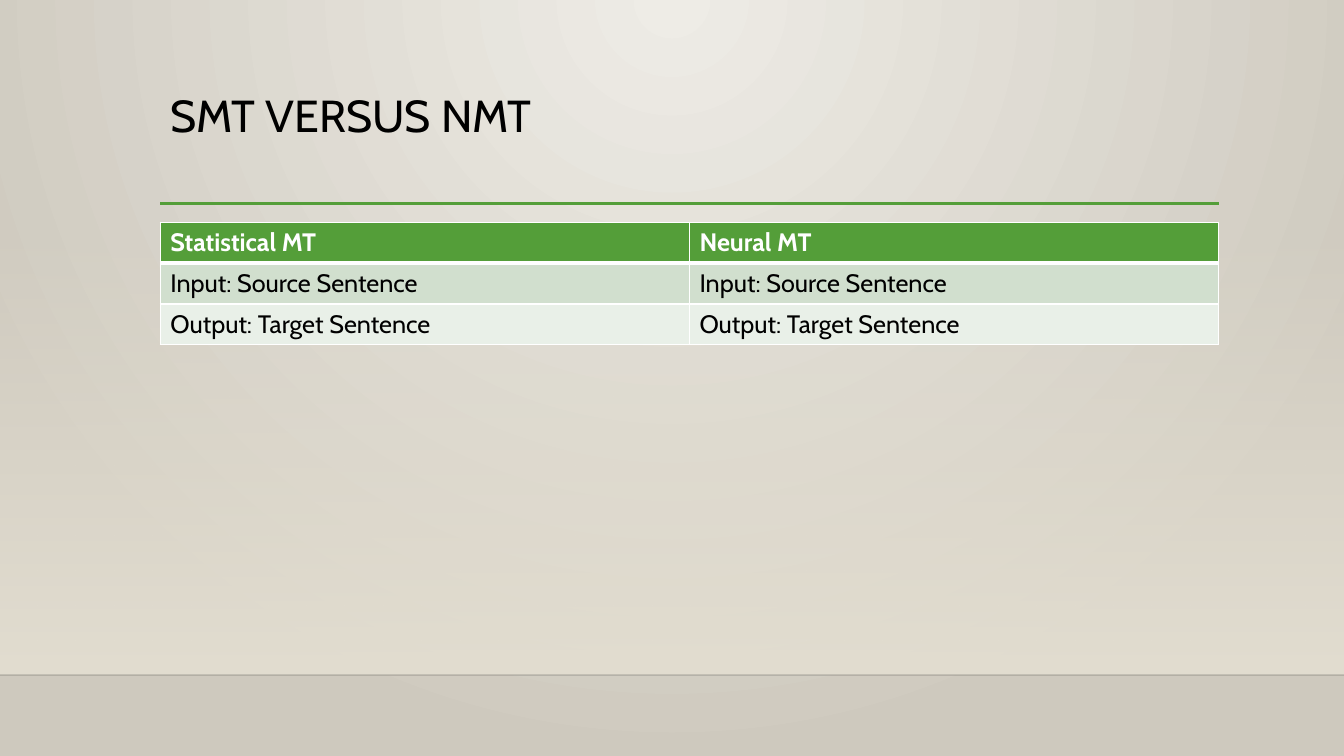
from dataclasses import dataclass

from lxml import etree
from pptx import Presentation
from pptx.dml.color import RGBColor as Rgb
from pptx.enum.shapes import MSO_CONNECTOR as Conn, MSO_SHAPE as Shape
from pptx.enum.text import MSO_ANCHOR as Anchor
from pptx.oxml.ns import qn
from pptx.util import Cm, Pt


@dataclass(frozen=True)
class Theme:
    """Colours, type sizes and font of the slide."""
    font: str = "Cabin"
    head: int = 32
    body: int = 18
    ink: str = "000000"
    white: str = "FFFFFF"
    green: str = "549E39"
    edge: str = "000001"
    light: str = "EEECE6"
    dark: str = "CEC9BE"
    glow: str = "E3DED1"
    bands: tuple = ("D1DFCE", "E9F0E8")


THEME = Theme()
WIDE, HIGH = 33.87, 19.05
ROWS = [
    ("Statistical MT", "Neural MT"),
    ("Input: Source Sentence", "Input: Source Sentence"),
    ("Output: Target Sentence", "Output: Target Sentence"),
]


def sub(node, tag, **attrs):
    """Append a drawing element and return it."""
    return etree.SubElement(node, qn("a:" + tag), attrs)


def blend(fill, root, stops):
    """Give a fill a two-stop gradient and return its emptied element."""
    fill.gradient()
    grad = next(root.iter(qn("a:gradFill")))
    for child in list(grad):
        grad.remove(child)
    group = sub(grad, "gsLst")
    for pos, (color, alpha) in zip((0, 100000), stops):
        tint = sub(sub(group, "gs", pos=str(pos)), "srgbClr", val=color)
        if alpha < 100:
            sub(tint, "alpha", val=str(alpha * 1000))
    return grad


def write(frame, text, size, color, bold=False):
    """Put one run of text in a frame and return its paragraph."""
    para = frame.paragraphs[0]
    run = para.add_run()
    run.text = text
    font = run.font
    font.name, font.size, font.bold = THEME.font, Pt(size), bold
    font.color.rgb = Rgb.from_string(color)
    return para


def rule(slide, left, top, width, color, weight, alpha=100):
    """Draw a level line."""
    line = slide.shapes.add_connector(
        Conn.STRAIGHT, Cm(left), Cm(top), Cm(left + width), Cm(top))
    line.line.color.rgb = Rgb.from_string(color)
    line.line.width = Pt(weight)
    props = line.element.spPr
    if alpha < 100:
        sub(next(props.iter(qn("a:srgbClr"))), "alpha", val=str(alpha * 1000))
    sub(props, "effectLst")


def backdrop(slide, top, height):
    """Paint the round glow, the fading wall and the floor edge."""
    stops = (THEME.light, 100), (THEME.dark, 100)
    grad = blend(slide.background.fill, slide.element, stops)
    ring = sub(grad, "path", path="circle")
    sub(ring, "fillToRect", l="43000", t="0", r="43000", b="100000")
    wall = slide.shapes.add_shape(
        Shape.RECTANGLE, 0, Cm(top), Cm(WIDE), Cm(height))
    wall.shadow.inherit = False
    wall.line.fill.background()
    stops = (THEME.glow, 0), (THEME.glow, 100)
    grad = blend(wall.fill, wall.element, stops)
    sub(grad, "lin", ang="5400000", scaled="0")
    rule(slide, 0, top + height, WIDE, THEME.edge, 1, 20)


def title(slide, left, top, width, height):
    """Write the heading with the green rule under it."""
    rule(slide, left, top + height - 0.03, width, THEME.green, 2.5)
    box = slide.shapes.add_textbox(Cm(left), Cm(top), Cm(width), Cm(height))
    frame = box.text_frame
    frame.word_wrap = True
    frame.vertical_anchor = Anchor.TOP
    para = write(frame, "SMT VERSUS NMT", THEME.head, THEME.ink)
    para.line_spacing = 0.9


def border(cell, sides):
    """Set white borders of the given weights on a cell."""
    props = cell._tc.get_or_add_tcPr()
    for spot, (side, weight) in enumerate(sides.items()):
        line = etree.Element(qn("a:ln" + side), w=str(Pt(weight)))
        sub(sub(line, "solidFill"), "srgbClr", val=THEME.white)
        props.insert(spot, line)


def compare(slide, left, top, width, height):
    """Build the table of both kinds of translation."""
    table = slide.shapes.add_table(
        len(ROWS), len(ROWS[0]), Cm(left), Cm(top), Cm(width), Cm(height)).table
    for y, row in enumerate(ROWS):
        head = y == 0
        back = THEME.green if head else THEME.bands[(y - 1) % 2]
        ink = THEME.white if head else THEME.ink
        sides = {"L": 1, "R": 1, "T": 3 if y == 1 else 1, "B": 3 if head else 1}
        for x, text in enumerate(row):
            cell = table.cell(y, x)
            cell.fill.solid()
            cell.fill.fore_color.rgb = Rgb.from_string(back)
            border(cell, sides)
            write(cell.text_frame, text, THEME.body, ink, head)


def main():
    """Build and save the slide."""
    deck = Presentation()
    deck.slide_width, deck.slide_height = Cm(WIDE), Cm(HIGH)
    slide = deck.slides.add_slide(deck.slide_layouts[6])
    left, width = 4.04, 26.67
    backdrop(slide, 5.61, 11.4)
    title(slide, left, 2.24, width, 2.92)
    compare(slide, left, 5.6, width, 3.09)
    deck.save("out.pptx")


if __name__ == "__main__":
    main()
